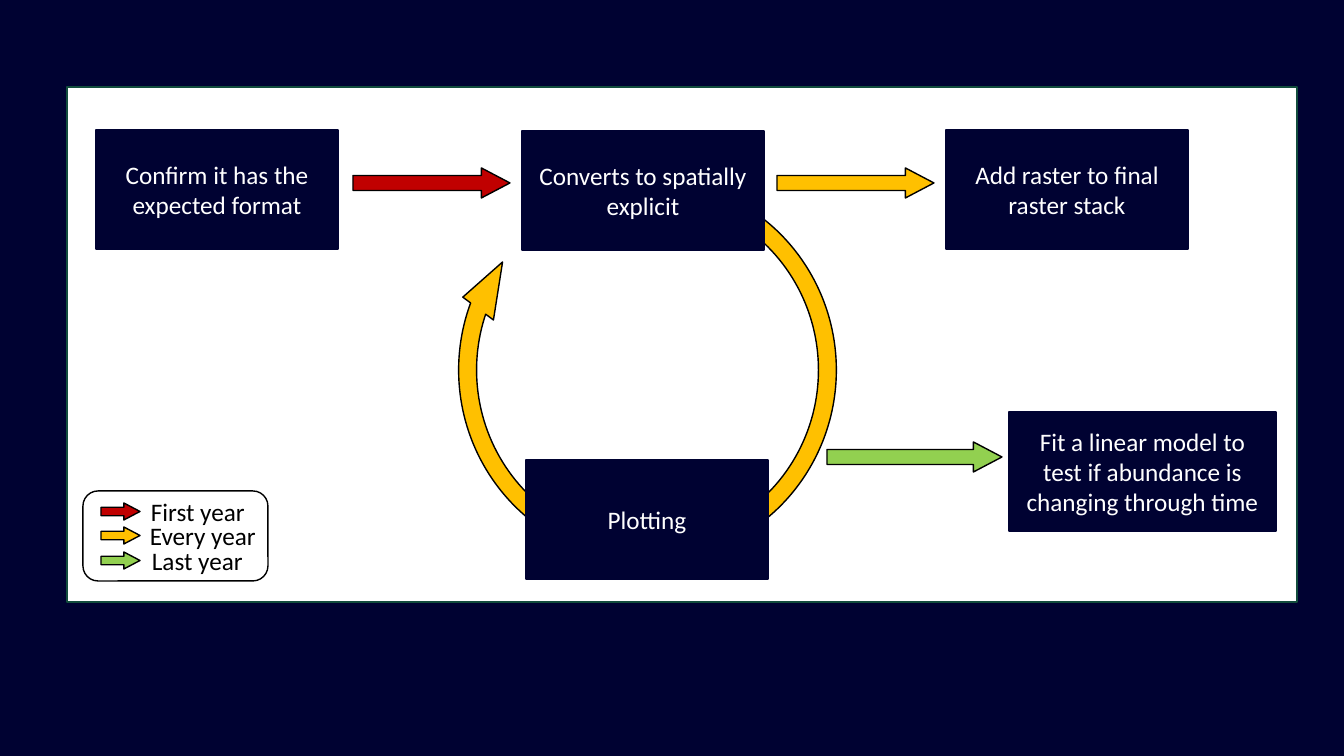
"""Build a slide showing the yearly workflow as boxes, arrows and a cycle."""
from dataclasses import dataclass

from pptx import Presentation
from pptx.dml.color import RGBColor
from pptx.enum.shapes import MSO_SHAPE
from pptx.enum.text import MSO_ANCHOR, PP_ALIGN
from pptx.util import Emu, Pt


@dataclass(frozen=True)
class Theme:
    navy: str = "000232"
    white: str = "FFFFFF"
    black: str = "000000"
    frame: str = "124D3D"
    first: str = "C00000"
    every: str = "FFC000"
    last: str = "92D050"
    font: str = "Calibri"
    text_size: int = 18
    line_width: int = 1


THEME = Theme()
EMU_PER_PX = 914400 / 100.8
PAGE_SIZE = (1344, 756)

PANEL = (67, 87, 1230, 515)
CYCLE = (446, 171, 403, 398)
CYCLE_ADJUSTMENTS = (0.045, 10.06, 65.96, 108, 0.048)
ARROW_ADJUSTMENTS = (0.5, 0.95)
STEP_HEIGHT = 119
ARROW_HEIGHT = 30

STEPS = [
    ("Confirm it has the expected format", 96, 130, 242),
    ("Add raster to final raster stack", 946, 130, 242),
    ("Fit a linear model to test if abundance is changing through time", 1009, 412, 267),
    ("Converts to spatially explicit", 522, 131, 242),
    ("Plotting", 526, 460, 242),
]
FLOWS = [
    (THEME.first, 353, 168, 157),
    (THEME.every, 777, 168, 157),
    (THEME.last, 827, 442, 175),
]
LEGEND_FRAME = (83, 491, 185, 90)
LEGEND_ARROW = (101, 39, 17)
LEGEND_LABEL_RISE = 12
LEGEND = [
    ("First year", THEME.first, 503, 141, 115),
    ("Every year", THEME.every, 527, 140, 127),
    ("Last year", THEME.last, 552, 142, 112),
]


def px(*lengths):
    return [Emu(round(length * EMU_PER_PX)) for length in lengths]


def rgb(color):
    return RGBColor.from_string(color)


def write(box, text, color, align):
    para = box.text_frame.paragraphs[0]
    para.text = text
    para.alignment = align
    para.font.name = THEME.font
    para.font.size = Pt(THEME.text_size)
    para.font.color.rgb = rgb(color)


def add_box(page, kind, area, fill, line, adjustments=()):
    box = page.shapes.add_shape(kind, *px(*area))
    box.shadow.inherit = False
    if fill:
        box.fill.solid()
        box.fill.fore_color.rgb = rgb(fill)
    else:
        box.fill.background()
    box.line.color.rgb = rgb(line)
    box.line.width = Pt(THEME.line_width)
    for index, value in enumerate(adjustments):
        box.adjustments[index] = value
    return box


def add_step(page, text, left, top, width):
    area = (left, top, width, STEP_HEIGHT)
    box = add_box(page, MSO_SHAPE.RECTANGLE, area, THEME.navy, THEME.navy)
    box.text_frame.word_wrap = True
    box.text_frame.vertical_anchor = MSO_ANCHOR.MIDDLE
    write(box, text, THEME.white, PP_ALIGN.CENTER)


def add_arrow(page, color, *area):
    add_box(page, MSO_SHAPE.RIGHT_ARROW, area, color, THEME.black, ARROW_ADJUSTMENTS)


def add_legend(page):
    arrow_left, arrow_width, arrow_height = LEGEND_ARROW
    for text, color, top, label_left, label_width in LEGEND:
        add_arrow(page, color, arrow_left, top, arrow_width, arrow_height)
        area = (label_left, top - LEGEND_LABEL_RISE, label_width, 40)
        label = page.shapes.add_textbox(*px(*area))
        label.text_frame.word_wrap = False
        write(label, text, THEME.black, PP_ALIGN.LEFT)
    add_box(page, MSO_SHAPE.ROUNDED_RECTANGLE, LEGEND_FRAME, None, THEME.black)


def main():
    deck = Presentation()
    deck.slide_width, deck.slide_height = px(*PAGE_SIZE)
    page = deck.slides.add_slide(deck.slide_layouts[6])
    page.background.fill.solid()
    page.background.fill.fore_color.rgb = rgb(THEME.navy)

    add_box(page, MSO_SHAPE.RECTANGLE, PANEL, THEME.white, THEME.frame)
    cycle = add_box(page, MSO_SHAPE.CIRCULAR_ARROW, CYCLE, THEME.every,
                    THEME.black, CYCLE_ADJUSTMENTS)
    cycle.rotation = 90
    for step in STEPS:
        add_step(page, *step)
    for flow in FLOWS:
        add_arrow(page, *flow, ARROW_HEIGHT)
    add_legend(page)
    deck.save("out.pptx")


if __name__ == "__main__":
    main()
